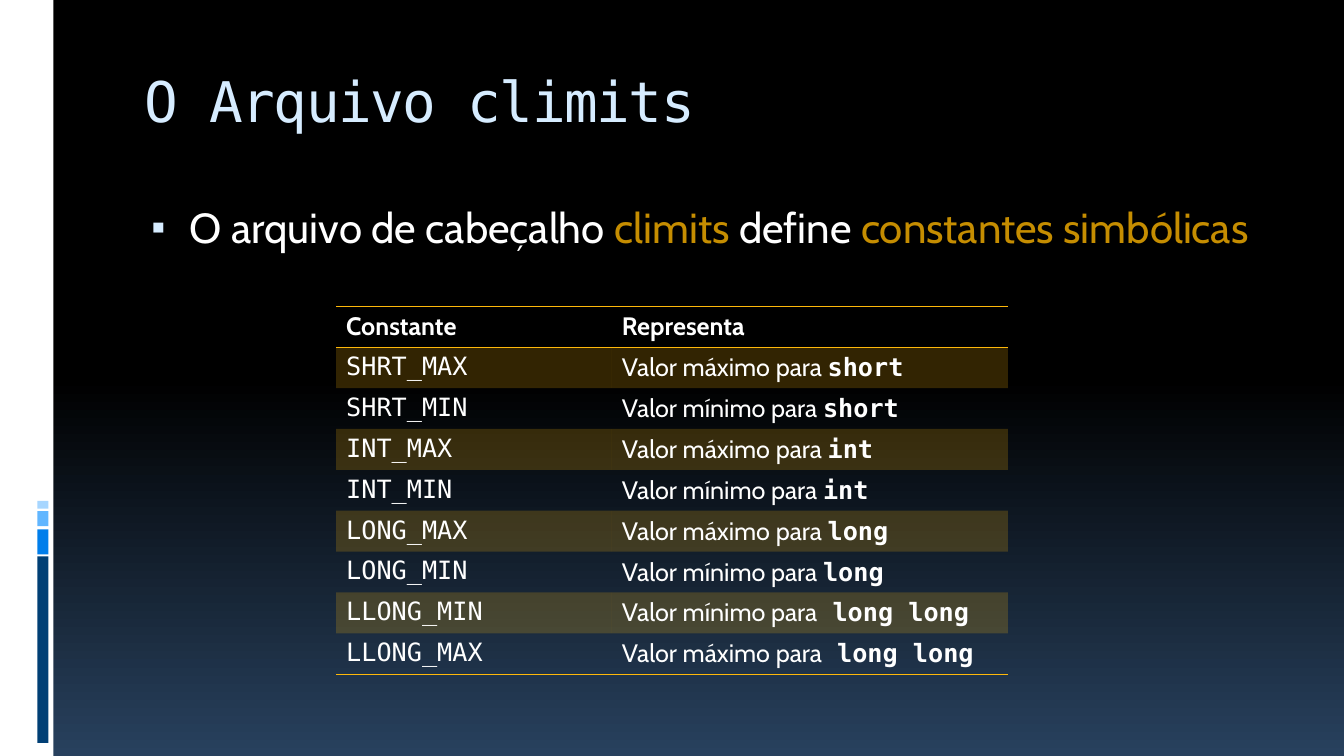
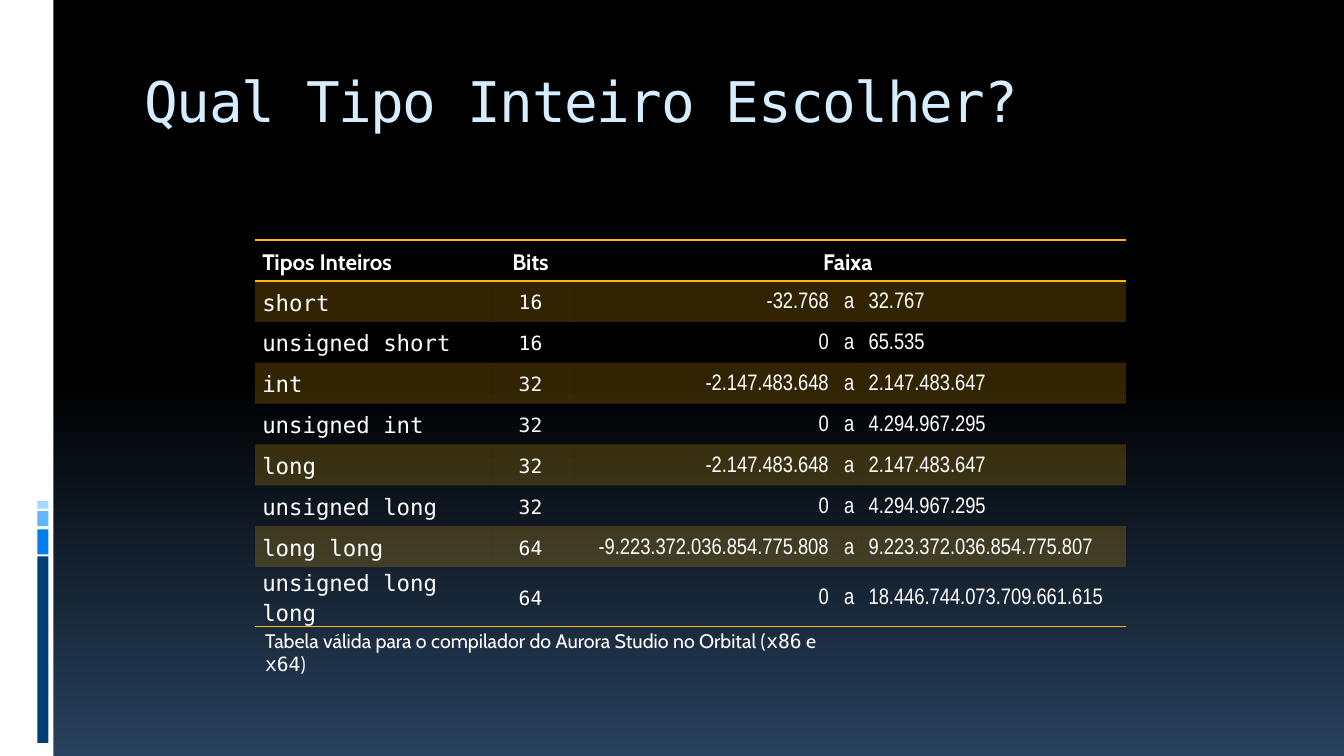
"""Build two slides about the integer types of C++ and their limits."""
from dataclasses import dataclass
from typing import Optional

from lxml.etree import SubElement
from pptx import Presentation
from pptx.dml.color import RGBColor
from pptx.enum.shapes import MSO_SHAPE
from pptx.enum.text import MSO_ANCHOR, MSO_AUTO_SIZE, PP_ALIGN
from pptx.oxml import parse_xml
from pptx.oxml.ns import nsdecls, qn
from pptx.util import Cm, Pt

COLORS = {
    "black": "000000",
    "navy": "28415E",
    "white": "FFFFFF",
    "ice": "D6ECFF",
    "ochre": "C58D01",
    "amber": "FEB80A",
    "band_dark": "003F75",
    "band_blue": "007EEB",
    "band_sky": "61B6FF",
    "band_pale": "A7D6FF",
}
SANS, MONO, NARROW = "Cabin", "DejaVu Sans Mono", "Arial Narrow"
PLAIN_TABLE = "{2D5ABB26-0587-4C30-8999-92F81FD0307C}"
ROW_HEIGHT = 1.03


@dataclass(frozen=True)
class Band:
    left: float
    top: float
    width: float
    height: float
    color: str


@dataclass(frozen=True)
class IntegerType:
    name: str
    bits: int
    lowest: str
    highest: str


BANDS = [
    Band(0, 0, 1.35, 19.05, "white"),
    Band(0.94, 14.02, 0.28, 4.7, "band_dark"),
    Band(0.94, 13.34, 0.28, 0.63, "band_blue"),
    Band(0.94, 12.88, 0.28, 0.38, "band_sky"),
    Band(0.94, 12.62, 0.28, 0.2, "band_pale"),
]
LIMITS = [
    ("SHRT_MAX", "Valor máximo para ", "short"),
    ("SHRT_MIN", "Valor mínimo para ", "short"),
    ("INT_MAX", "Valor máximo para ", "int"),
    ("INT_MIN", "Valor mínimo para ", "int"),
    ("LONG_MAX", "Valor máximo para ", "long"),
    ("LONG_MIN", "Valor mínimo para ", "long"),
    ("LLONG_MIN", "Valor mínimo para", " long long"),
    ("LLONG_MAX", "Valor máximo para", " long long"),
]
INTEGER_TYPES = [
    IntegerType("short", 16, "-32.768", "32.767"),
    IntegerType("unsigned short", 16, "0", "65.535"),
    IntegerType("int", 32, "-2.147.483.648", "2.147.483.647"),
    IntegerType("unsigned int", 32, "0", "4.294.967.295"),
    IntegerType("long", 32, "-2.147.483.648", "2.147.483.647"),
    IntegerType("unsigned long", 32, "0", "4.294.967.295"),
    IntegerType("long long", 64, "-9.223.372.036.854.775.808", "9.223.372.036.854.775.807"),
    IntegerType("unsigned long long", 64, "0", "18.446.744.073.709.661.615"),
]


def rgb(color: str) -> RGBColor:
    return RGBColor.from_string(COLORS[color])


def write(paragraph, text: str, *, font: str = SANS, size: float = 16, color: str = "white",
          bold: bool = False, spacing: Optional[float] = None) -> None:
    run = paragraph.add_run()
    run.text = text
    run.font.name = font
    run.font.size = Pt(size)
    run.font.bold = bold
    run.font.color.rgb = rgb(color)
    if spacing is not None:
        run.font._element.set("spc", str(round(spacing * 100)))


def place(shape, left: float, top: float, width: float, height: float) -> None:
    shape.left, shape.top, shape.width, shape.height = map(Cm, (left, top, width, height))


def paint_background(master) -> None:
    fill = master.background.fill
    fill.gradient()
    fill.gradient_angle = 270
    for stop, position, color in zip(fill.gradient_stops, (0.5, 1), ("black", "navy")):
        stop.position = position
        stop.color.rgb = rgb(color)


def add_titled_slide(prs, layout: int, heading: str):
    slide = prs.slides.add_slide(prs.slide_layouts[layout])
    for band in BANDS:
        bar = slide.shapes.add_shape(MSO_SHAPE.RECTANGLE, Cm(band.left), Cm(band.top),
                                     Cm(band.width), Cm(band.height))
        bar.shadow.inherit = False
        bar.fill.solid()
        bar.fill.fore_color.rgb = rgb(band.color)
        bar.line.fill.background()
    title = slide.shapes.title
    place(title, 3.39, 1.42, 28.79, 2.54)
    frame = title.text_frame
    frame.vertical_anchor = MSO_ANCHOR.TOP
    frame.margin_top = Cm(0.25)
    frame.paragraphs[0].alignment = PP_ALIGN.LEFT
    write(frame.paragraphs[0], heading, font=MONO, size=40, color="ice", spacing=-1)
    return slide


def add_square_bullet(paragraph) -> None:
    props = paragraph._p.get_or_add_pPr()
    props.set("marL", str(Cm(1.14)))
    props.set("indent", str(Cm(-0.97)))
    tint = SubElement(props, qn("a:buClr"))
    SubElement(tint, qn("a:srgbClr"), val=COLORS["ice"])
    SubElement(props, qn("a:buSzPct"), val="95000")
    SubElement(props, qn("a:buChar"), char="▪")


def add_rule(cell, side: str) -> None:
    cell._tc.get_or_add_tcPr().insert(0, parse_xml(
        f'<a:{side} {nsdecls("a")} w="12700"><a:solidFill>'
        f'<a:srgbClr val="{COLORS["amber"]}"/></a:solidFill></a:{side}>'))


def add_striped_table(slide, left: float, top: float, widths: list[float], row_count: int):
    frame = slide.shapes.add_table(row_count, len(widths), Cm(left), Cm(top),
                                   Cm(sum(widths)), Cm(ROW_HEIGHT * row_count))
    table = frame.table
    table.horz_banding = False
    table._tbl.tblPr.find(qn("a:tableStyleId")).text = PLAIN_TABLE
    for column, width in zip(table.columns, widths):
        column.width = Cm(width)
    for index, row in enumerate(table.rows):
        row.height = Cm(ROW_HEIGHT)
        for cell in row.cells:
            if index % 2:
                cell.fill.solid()
                cell.fill.fore_color.rgb = rgb("amber")
                tint = next(cell._tc.tcPr.iter(qn("a:srgbClr")))
                SubElement(tint, qn("a:alpha"), val="20000")
            else:
                cell.fill.background()
            if index in (0, row_count - 1):
                add_rule(cell, "lnB")
            if index == 0:
                add_rule(cell, "lnT")
    return table


def compact(cell, alignment=PP_ALIGN.LEFT):
    cell.vertical_anchor = MSO_ANCHOR.MIDDLE
    cell.margin_left = cell.margin_right = Cm(0.18)
    cell.margin_top = cell.margin_bottom = Cm(0)
    paragraph = cell.text_frame.paragraphs[0]
    paragraph.alignment = alignment
    paragraph.line_spacing = 1.15
    paragraph.space_after = Pt(10)
    return paragraph


def build_climits_slide(prs) -> None:
    slide = add_titled_slide(prs, 1, "O Arquivo climits")
    body = slide.placeholders[1]
    place(body, 3.39, 4.95, 28.79, 12.7)
    statement = body.text_frame.paragraphs[0]
    statement.space_before = Pt(7)
    add_square_bullet(statement)
    for text, color in (("O arquivo de cabeçalho ", "white"), ("climits", "ochre"),
                        (" define ", "white"), ("constantes simbólicas", "ochre")):
        write(statement, text, size=30, color=color)

    table = add_striped_table(slide, 8.47, 7.72, [6.95, 9.98], len(LIMITS) + 1)
    for column, heading in enumerate(("Constante", "Representa")):
        write(table.cell(0, column).text_frame.paragraphs[0], heading, size=18, bold=True)
    for row, (constant, meaning, keyword) in enumerate(LIMITS, start=1):
        write(table.cell(row, 0).text_frame.paragraphs[0], constant, font=MONO, size=18)
        description = table.cell(row, 1).text_frame.paragraphs[0]
        write(description, meaning, size=18)
        write(description, keyword, font=MONO, size=18, bold=True)


def build_ranges_slide(prs) -> None:
    slide = add_titled_slide(prs, 5, "Qual Tipo Inteiro Escolher?")
    table = add_striped_table(slide, 6.43, 6.05, [5.95, 1.98, 7.35, 6.66],
                              len(INTEGER_TYPES) + 1)
    table.cell(0, 2).merge(table.cell(0, 3))
    for column, (heading, alignment) in enumerate((("Tipos Inteiros", PP_ALIGN.LEFT),
                                                   ("Bits", PP_ALIGN.CENTER),
                                                   ("Faixa", PP_ALIGN.CENTER))):
        write(compact(table.cell(0, column), alignment), heading, bold=True)
    for row, kind in enumerate(INTEGER_TYPES, start=1):
        write(compact(table.cell(row, 0)), kind.name, font=MONO)
        write(compact(table.cell(row, 1), PP_ALIGN.CENTER), str(kind.bits), font=MONO, size=14)
        lower = compact(table.cell(row, 2), PP_ALIGN.RIGHT)
        write(lower, kind.lowest, font=NARROW)
        write(lower, " ", font=NARROW, spacing=7.3)
        write(lower, "a", font=NARROW)
        write(compact(table.cell(row, 3)), kind.highest, font=NARROW)

    footnote = slide.shapes.add_textbox(Cm(6.43), Cm(15.72), Cm(15.5), Cm(0.86)).text_frame
    footnote.word_wrap = True
    footnote.auto_size = MSO_AUTO_SIZE.SHAPE_TO_FIT_TEXT
    for text, font in (("Tabela válida para o compilador do Aurora Studio no Orbital (", SANS),
                       ("x86", MONO), (" e ", SANS), ("x64", MONO), (")", SANS)):
        write(footnote.paragraphs[0], text, font=font, size=14)


def main() -> None:
    prs = Presentation()
    prs.slide_width, prs.slide_height = Cm(33.87), Cm(19.05)
    paint_background(prs.slide_master)
    build_climits_slide(prs)
    build_ranges_slide(prs)
    prs.save("out.pptx")


if __name__ == "__main__":
    main()
